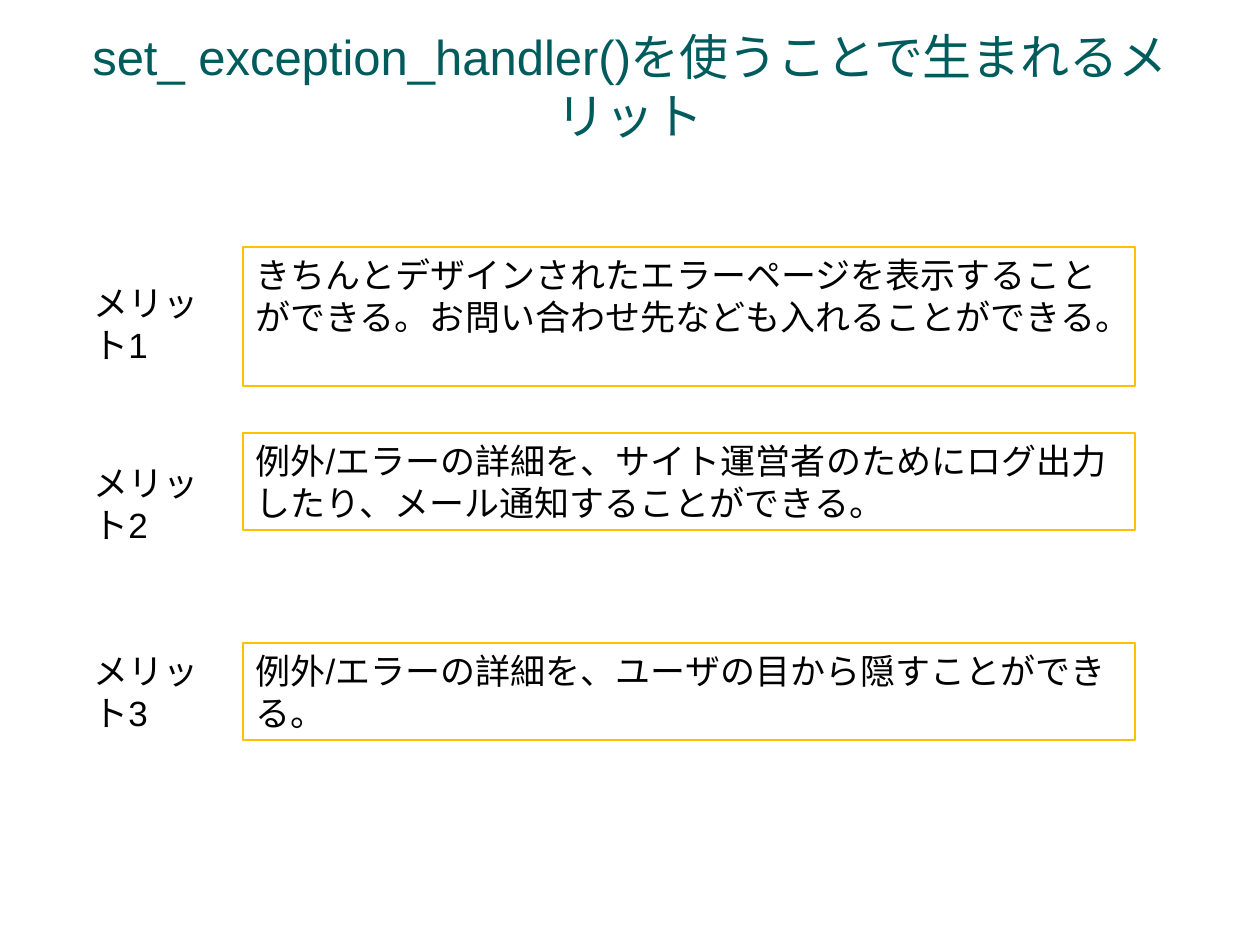
from pptx import Presentation
from pptx.dml.color import RGBColor
from pptx.enum.shapes import MSO_SHAPE
from pptx.enum.text import MSO_ANCHOR, MSO_AUTO_SIZE, PP_ALIGN
from pptx.util import Emu, Pt

PX_PER_INCH = 126
TEAL = RGBColor(0x00, 0x5C, 0x5C)
AMBER = RGBColor(0xFF, 0xC0, 0x00)
BLACK = RGBColor(0x00, 0x00, 0x00)

TITLE = "set_ exception_handler()を使うことで生まれるメリット"
MERITS = [
    (247, 139, 28, "きちんとデザインされたエラーページを表示することができる。お問い合わせ先なども入れることができる。"),
    (433, 97, 22, "例外/エラーの詳細を、サイト運営者のためにログ出力したり、メール通知することができる。"),
    (643, 97, 0, "例外/エラーの詳細を、ユーザの目から隠すことができる。"),
]
ROW_LEFT = 81
ROW_WIDTH = 1054
LABEL_WIDTH = 149
LABEL_HEIGHT = 97
BOX_OFFSET = 162


def px(length):
    return Emu(round(length * 914400 / PX_PER_INCH))


def write_text(shape, text, size, color, align, anchor, auto_size):
    frame = shape.text_frame
    frame.word_wrap = True
    frame.auto_size = auto_size
    frame.vertical_anchor = anchor
    para = frame.paragraphs[0]
    para.text = text
    para.alignment = align
    para.font.name = "Arial"
    para.font.size = Pt(size)
    para.font.color.rgb = color


def write_body(shape, text):
    write_text(shape, text, 20, BLACK, PP_ALIGN.LEFT, MSO_ANCHOR.TOP,
               MSO_AUTO_SIZE.SHAPE_TO_FIT_TEXT)


def place_title(page, left, top, width, height):
    title = page.shapes.title
    title.left, title.top = px(left), px(top)
    title.width, title.height = px(width), px(height)
    write_text(title, TITLE, 28, TEAL, PP_ALIGN.CENTER, MSO_ANCHOR.MIDDLE,
               MSO_AUTO_SIZE.NONE)


def add_merit(page, left, top, width, height, label_offset, label, text):
    box = page.shapes.add_shape(MSO_SHAPE.RECTANGLE, px(left + BOX_OFFSET), px(top),
                                px(width - BOX_OFFSET), px(height))
    box.shadow.inherit = False
    box.fill.background()
    box.line.color.rgb = AMBER
    box.line.width = Pt(0.75)
    write_body(box, text)
    caption = page.shapes.add_textbox(px(left), px(top + label_offset),
                                      px(LABEL_WIDTH), px(LABEL_HEIGHT))
    write_body(caption, label)


def main():
    deck = Presentation()
    deck.slide_width, deck.slide_height = px(1260), px(945)
    page = deck.slides.add_slide(deck.slide_layouts[5])
    place_title(page, 47, 33, 1166, 105)
    for number, (top, height, label_offset, text) in enumerate(MERITS, 1):
        add_merit(page, ROW_LEFT, top, ROW_WIDTH, height, label_offset,
                  f"メリット{number}", text)
    deck.save("out.pptx")


if __name__ == "__main__":
    main()
